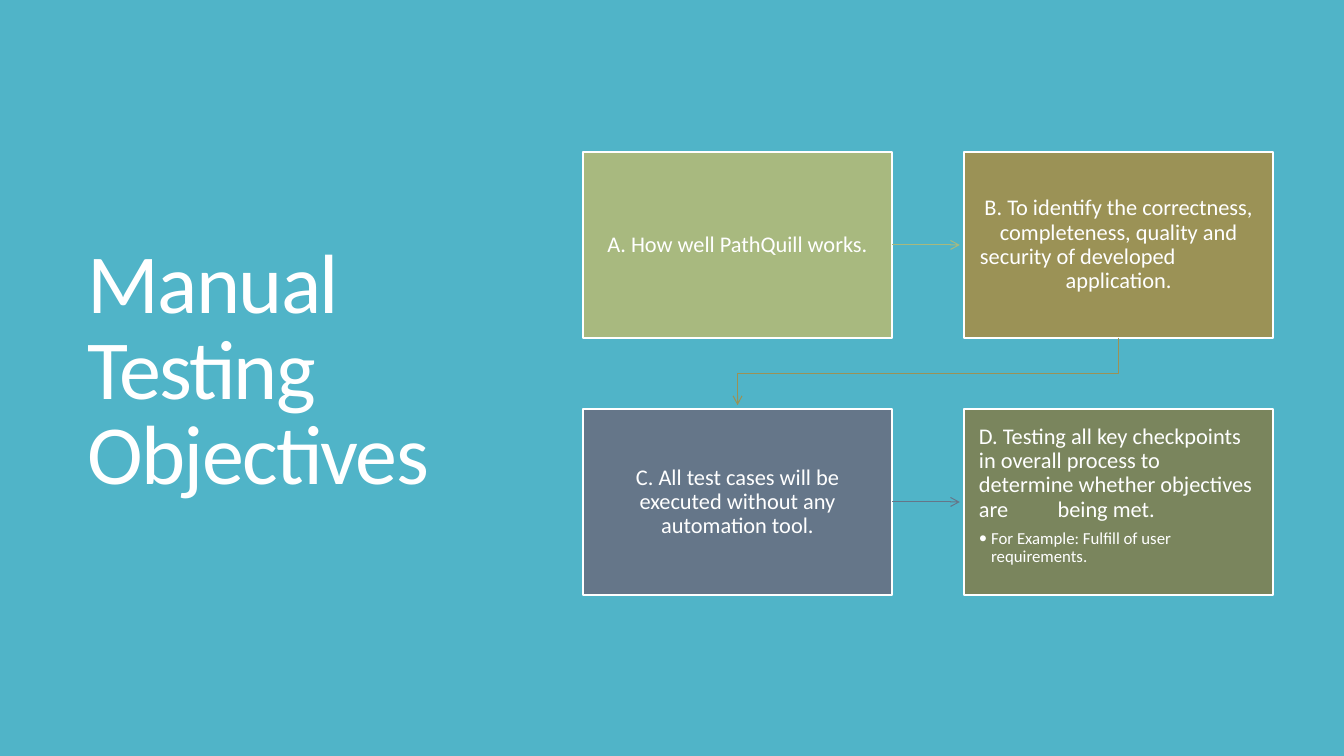
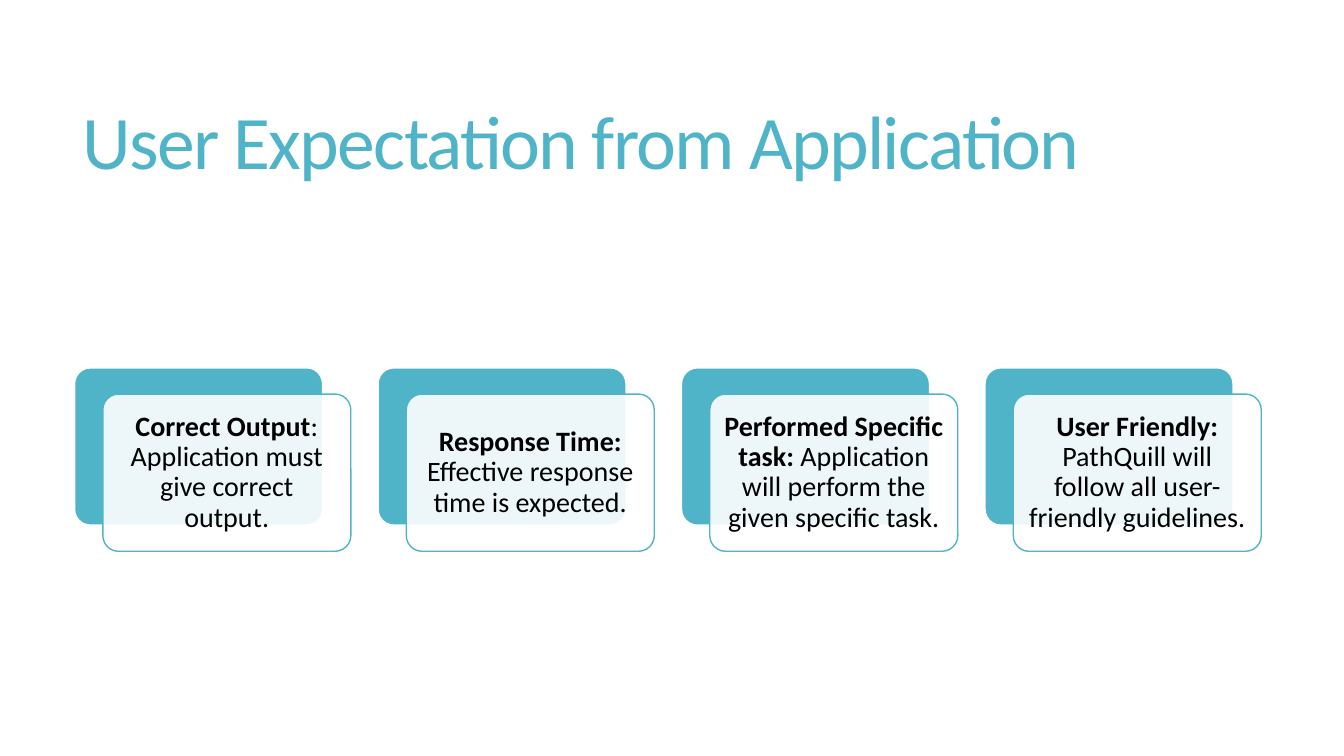
from lxml import etree
from pptx import Presentation
from pptx import util as u
from pptx.dml.color import RGBColor
from pptx.enum import shapes, text
from pptx.oxml.ns import qn

FONT = "Calibri"
TEAL, WHITE, BLACK = "50B4C8", "FFFFFF", "000000"
CENTER, LEFT = text.PP_ALIGN.CENTER, text.PP_ALIGN.LEFT
MIDDLE, TOP = text.MSO_ANCHOR.MIDDLE, text.MSO_ANCHOR.TOP
rgb = RGBColor.from_string

prs = Presentation()
prs.slide_width, prs.slide_height = u.Inches(13.33), u.Inches(7.5)


def add_text(p, runs, size, color, align=CENTER, spacing=0.9, after=0.35, track=0):
    """Fill a paragraph with (text, bold) runs; after is a share of the size."""
    p.alignment, p.line_spacing = align, spacing
    p.space_after = u.Pt(size * after)
    for words, bold in runs:
        r = p.add_run()
        r.text = words
        r.font.name, r.font.size, r.font.bold = FONT, u.Pt(size), bold
        r.font.color.rgb = rgb(color)
        if track:
            r._r.get_or_add_rPr().set("spc", str(track))


def add_box(s, kind, box, fill, line, weight, inset=(0.1, 0.05), anchor=MIDDLE):
    """Add a shape, or a plain text box when kind is None."""
    at = [u.Inches(v) for v in box]
    if kind is None:
        sp = s.shapes.add_textbox(*at)
    else:
        sp = s.shapes.add_shape(kind, *at)
        sp.shadow.inherit = False
        sp.fill.solid()
        sp.fill.fore_color.rgb = rgb(fill)
        sp.line.color.rgb = rgb(line)
        sp.line.width = u.Pt(weight)
    tf = sp.text_frame
    tf.word_wrap, tf.vertical_anchor = True, anchor
    tf.margin_left = tf.margin_right = u.Inches(inset[0])
    tf.margin_top = tf.margin_bottom = u.Inches(inset[1])
    return sp


# Backgrounds and titles
titles = [
    ("Manual Testing Objectives", (0.77, 0.7, 4.37, 6.01), 60, WHITE, TEAL),
    ("User Expectation from Application", (0.72, 0.55, 11.78, 1.81), 54, TEAL, WHITE),
]
for words, box, size, color, back in titles:
    s = prs.slides.add_slide(prs.slide_layouts[6])
    s.background.fill.solid()
    s.background.fill.fore_color.rgb = rgb(back)
    tf = add_box(s, None, box, None, None, 0).text_frame
    add_text(tf.paragraphs[0], [(words, False)], size, color, LEFT, 0.85, 0, -120)
objectives, expectations = prs.slides

# Objectives: a two by two grid; the last value is the tab stop in inches
s = objectives
x0, y0, box_w, box_h, step_x, step_y = 5.78, 1.51, 3.07, 1.84, 3.78, 2.55
steps = [
    ("A. How well PathQuill works.", "A8B97F", CENTER, MIDDLE, None),
    ("B. To identify the correctness, completeness, quality and security of "
     "developed \tapplication.", "9B9256", CENTER, MIDDLE, 2.75),
    ("C. All test cases will be executed without any automation tool.",
     "657689", CENTER, MIDDLE, None),
    ("D. Testing all key checkpoints in overall process to determine whether "
     "objectives are \tbeing met.", "7A855D", LEFT, TOP, 0.78),
]
for i, (words, fill, align, anchor, tab) in enumerate(steps):
    x, y = x0 + i % 2 * step_x, y0 + i // 2 * step_y
    sp = add_box(s, shapes.MSO_SHAPE.RECTANGLE, (x, y, box_w, box_h),
                 fill, WHITE, 1.5, (0.15, 0.16), anchor)
    p = sp.text_frame.paragraphs[0]
    add_text(p, [(words, False)], 16, WHITE, align)
    if tab:
        stops = etree.SubElement(p._p.get_or_add_pPr(), qn("a:tabLst"))
        etree.SubElement(stops, qn("a:tab"), pos=str(u.Inches(tab)), algn="l")

# Bullet under the last step
p = sp.text_frame.add_paragraph()
add_text(p, [("For Example: Fulfill of user requirements.", False)], 12, WHITE, LEFT, after=0.15)
pPr = p._p.get_or_add_pPr()
pPr.set("marL", str(u.Inches(0.12)))
pPr.set("indent", str(-u.Inches(0.12)))
etree.SubElement(pPr, qn("a:buFont"), typeface=FONT)
etree.SubElement(pPr, qn("a:buChar"), char="•")

# Arrows: straight along each row, bent from B down to C
gap = 0.04
arrows = []
for row, color in enumerate(("A8B97F", "657689")):
    y = u.Inches(y0 + row * step_y + box_h / 2)
    arrow = s.shapes.add_connector(shapes.MSO_CONNECTOR.STRAIGHT, u.Inches(x0 + box_w), y,
                                   u.Inches(x0 + step_x - gap), y)
    etree.SubElement(arrow._element.spPr, qn("a:effectLst"))
    arrows.append((arrow, color))

x_c, x_b = x0 + box_w / 2, x0 + step_x + box_w / 2
y_top, y_mid, y_end = y0 + box_h, (y0 * 2 + box_h + step_y) / 2, y0 + step_y - gap
bend = s.shapes.build_freeform(u.Inches(x_b), u.Inches(y_top))
bend.add_line_segments([(u.Inches(x), u.Inches(y)) for x, y in
                        ((x_b, y_mid), (x_c, y_mid), (x_c, y_end))], close=False)
arrow = bend.convert_to_shape()
arrow.fill.background()
arrow.shadow.inherit = False
arrows.append((arrow, "9B9256"))
for arrow, color in arrows:
    arrow.line.color.rgb = rgb(color)
    arrow.line.width = u.Pt(0.75)
    etree.SubElement(arrow.line._get_or_add_ln(), qn("a:tailEnd"), type="arrow")

# Expectations: four cards, each a teal back and a translucent front
s = expectations
cards = [
    ("Correct Output", ": Application must give correct output."),
    ("Response Time: ", "Effective response time is expected."),
    ("Performed Specific task:", " Application will perform the given specific task."),
    ("User Friendly: ", "PathQuill will follow all user-friendly guidelines."),
]
card_w, card_h, pitch = 2.46, 1.56, 3.01
for i, (head, body) in enumerate(cards):
    for x, y, fill, line in ((0.74, 3.65, TEAL, WHITE), (1.02, 3.91, WHITE, TEAL)):
        sp = add_box(s, shapes.MSO_SHAPE.ROUNDED_RECTANGLE,
                     (x + i * pitch, y, card_w, card_h), fill, line, 1, (0.08, 0.08))
        sp.adjustments[0] = 0.1
    clr = sp._element.spPr.find(qn("a:solidFill"))[0]
    etree.SubElement(clr, qn("a:alpha"), val="90000")
    add_text(sp.text_frame.paragraphs[0], [(head, True), (body, False)], 20, BLACK)

prs.save("out.pptx")
